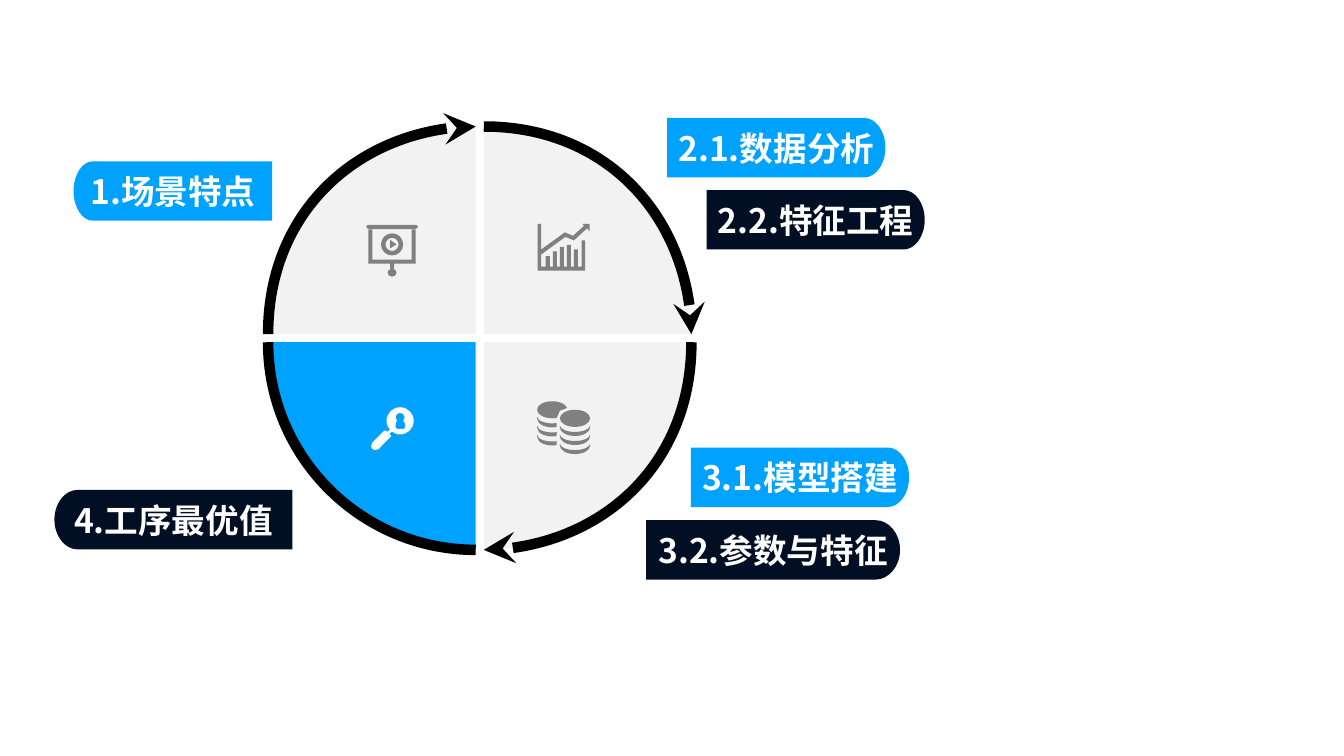
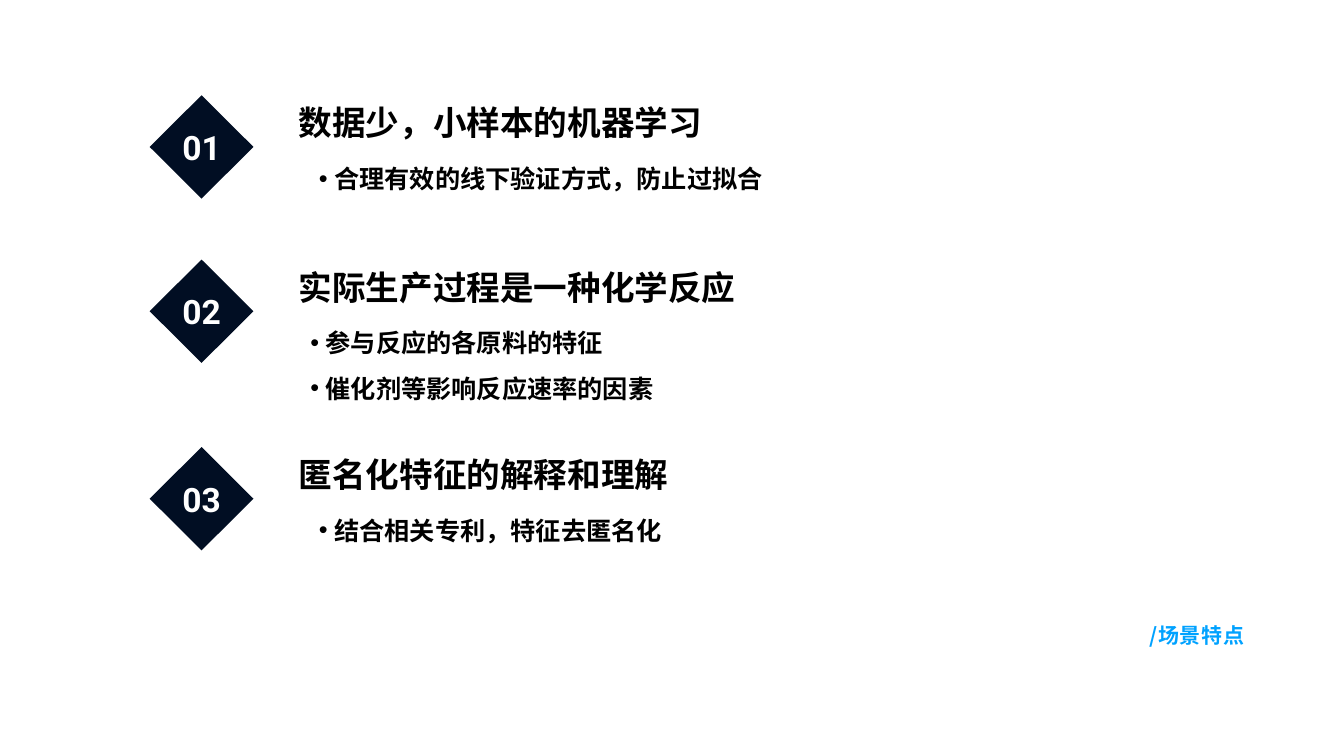
from math import ceil, cos, radians, sin, tan

from pptx import Presentation
from pptx.dml.color import RGBColor
from pptx.enum.shapes import MSO_SHAPE
from pptx.enum.text import MSO_ANCHOR, MSO_AUTO_SIZE, PP_ALIGN
from pptx.oxml.ns import qn
from pptx.util import Inches, Pt
from lxml.etree import Element, SubElement

COLORS = {"blue": "00A2FF", "navy": "010E23", "pale": "F2F2F2",
          "gray": "808080", "white": "FFFFFF", "black": "000000"}
CHINESE_FONT = "Noto Sans CJK SC"
NUMBER_FONT = "Roboto"


def arc(x, y, radius_x, radius_y, start=0, end=360):
    """Elliptical arc, angles clockwise from the right.

    Gives the start point, then for each curve its end and two control points.
    """
    count = ceil(abs(end - start) / 90)
    step = radians((end - start) / count)
    pull = 4 / 3 * tan(step / 4)

    def point(angle, tangent=0):
        return (x + radius_x * (cos(angle) - tangent * sin(angle)),
                y + radius_y * (sin(angle) + tangent * cos(angle)))

    points = [point(radians(start))]
    for i in range(count):
        first = radians(start) + i * step
        last = first + step
        points.append(point(last) + point(first, pull) + point(last, -pull))
    return points


def box(left, top, right, bottom):
    return [(left, top), (right, top), (right, bottom), (left, bottom)]


def write(frame, text, size=48, fill="black", font=CHINESE_FONT, align=PP_ALIGN.LEFT,
          anchor=MSO_ANCHOR.TOP, wrap=True, margins=(0.1, 0.05), line_spacing=1.0,
          bullet=False, tracking=None):
    """Fill a text frame, one paragraph for each line of text."""
    frame.auto_size = MSO_AUTO_SIZE.NONE
    frame.word_wrap = wrap
    frame.vertical_anchor = anchor
    frame.margin_left = frame.margin_right = Inches(margins[0])
    frame.margin_top = frame.margin_bottom = Inches(margins[1])
    for index, line in enumerate(text.split("\n")):
        paragraph = frame.add_paragraph() if index else frame.paragraphs[0]
        paragraph.alignment = align
        paragraph.line_spacing = line_spacing
        paragraph.space_before = paragraph.space_after = Pt(0)
        if bullet:
            properties = paragraph._p.get_or_add_pPr()
            properties.set("marL", str(Inches(0.19)))
            properties.set("indent", str(-Inches(0.19)))
            SubElement(properties, qn("a:buFont")).set("typeface", "Arial")
            SubElement(properties, qn("a:buChar")).set("char", "•")
        run = paragraph.add_run()
        run.text = line
        run.font.size = Pt(size)
        run.font.bold = True
        run.font.name = font
        run.font.color.rgb = color(fill)
        run_properties = run._r.get_or_add_rPr()
        SubElement(run_properties, qn("a:ea")).set("typeface", font)
        if tracking:
            run_properties.set("spc", str(tracking))


def color(name):
    return RGBColor.from_string(COLORS[name])


class Deck:
    def __init__(self):
        self.presentation = Presentation()
        self.presentation.slide_width = Inches(26.67)
        self.presentation.slide_height = Inches(15)
        self.slide = None

    def add_slide(self, layout_name):
        layout = self.presentation.slide_layouts.get_by_name(layout_name)
        self.slide = self.presentation.slides.add_slide(layout)

    def placeholder(self, index, left, top, width, height, text, **style):
        shape = self.slide.placeholders[index]
        shape.left, shape.top = Inches(left), Inches(top)
        shape.width, shape.height = Inches(width), Inches(height)
        write(shape.text_frame, text, **style)

    def remove_empty_placeholders(self):
        for shape in list(self.slide.placeholders):
            if not shape.text_frame.text:
                shape._element.getparent().remove(shape._element)

    def text(self, left, top, width, height, text, **style):
        shape = self.slide.shapes.add_textbox(
            Inches(left), Inches(top), Inches(width), Inches(height))
        write(shape.text_frame, text, **style)

    def outline(self, *contours, closed=True):
        """Freeform from lists of points; inner contours become holes."""
        contours = [[tuple(Inches(value) for value in point) for point in points]
                    for points in contours]
        builder = self.slide.shapes.build_freeform(*contours[0][0][:2], scale=1.0)
        for index, points in enumerate(contours):
            if index:
                builder.move_to(*points[0][:2])
            builder.add_line_segments([point[:2] for point in points[1:]], close=closed)
        shape = builder.convert_to_shape()
        shape.shadow.inherit = False
        # Points with control points turn from lines into curves
        segments = list(shape._element.iter(qn("a:moveTo"), qn("a:lnTo")))
        for segment, point in zip(segments, sum(contours, [])):
            if len(point) == 6:
                segment.tag = qn("a:cubicBezTo")
                for index, (x, y) in enumerate((point[2:4], point[4:6])):
                    control = Element(qn("a:pt"))
                    control.set("x", str(x - shape.left))
                    control.set("y", str(y - shape.top))
                    segment.insert(index, control)
        return shape

    def area(self, fill, *contours):
        shape = self.outline(*contours)
        self.paint(shape, fill)
        return shape

    def paint(self, shape, fill):
        shape.fill.solid()
        shape.fill.fore_color.rgb = color(fill)
        shape.line.fill.background()

    def rim(self, points, arrow):
        shape = self.outline(points, closed=False)
        shape.fill.background()
        shape.line.color.rgb = color("black")
        shape.line.width = Pt(15)
        if arrow:
            SubElement(shape.line._get_or_add_ln(), qn("a:tailEnd")).set("type", "stealth")

    def label(self, left, top, width, text, fill, round_left=False):
        """Tag with one rounded end."""
        height = 1.18
        middle, radius = top + height / 2, width * 0.0975
        right = left + width
        if round_left:
            points = arc(left + radius, middle, radius, height / 2, 90, 270)
            points += [(right, top), (right, top + height)]
        else:
            points = arc(right - radius, middle, radius, height / 2, -90, 90)
            points += [(left, top + height), (left, top)]
        shape = self.area(fill, points)
        write(shape.text_frame, text, fill="white", align=PP_ALIGN.CENTER,
              anchor=MSO_ANCHOR.MIDDLE, wrap=False)

    def diamond(self, left, top, text):
        shape = self.slide.shapes.add_shape(
            MSO_SHAPE.DIAMOND, Inches(left), Inches(top), Inches(2.06), Inches(2.05))
        shape.shadow.inherit = False
        self.paint(shape, "navy")
        write(shape.text_frame, text, fill="white", font=NUMBER_FONT,
              align=PP_ALIGN.CENTER, anchor=MSO_ANCHOR.MIDDLE, margins=(0, 0))

    # Icons
    def coins_icon(self):
        front_x, back_x, radius_x, radius_y = 11.41, 10.96, 0.3, 0.17
        contours = [arc(front_x, 8.3, radius_x, radius_y),
                    arc(back_x, 8.13, radius_x, radius_y, 73, 348) + [(11.11, 8.15)]]
        for x, first_y, start in ((front_x, 8.44, 0), (back_x, 8.27, 73)):
            for i in range(3):
                y = first_y + 0.18 * i
                contours.append(arc(x, y, radius_x, 0.13, start, 180)
                                + arc(x, y + 0.04, radius_x, radius_y, 180, start))
        self.area("gray", *contours)

    def chart_icon(self):
        points = [(11.61, 5.37), (10.67, 5.37), (10.67, 4.44), (10.74, 4.44),
                  (10.74, 4.95), (11.21, 4.61), (11.37, 4.68), (11.59, 4.48),
                  (11.55, 4.44), (11.7, 4.44), (11.7, 4.59), (11.65, 4.53),
                  (11.39, 4.77), (11.22, 4.7), (10.74, 5.05), (10.74, 5.29)]
        for i, top in enumerate((5.08, 4.99, 4.9, 4.86, 4.95)):
            left = 10.83 + 0.14 * i
            points += [(left, 5.29), (left, top), (left + 0.08, top), (left + 0.08, 5.29)]
        self.area("gray", points + [(11.54, 5.29), (11.54, 4.77), (11.61, 4.77)])

    def screen_icon(self):
        x, y = 7.78, 4.85
        rail = arc(8.25, 4.5, 0.04, 0.04, -90, 90) + arc(7.31, 4.5, 0.04, 0.04, 90, 270)
        self.area("gray", rail,
                  box(7.31, 4.55, 8.25, 5.23), box(7.39, 4.55, 8.17, 5.15),
                  arc(x, y, 0.22, 0.22), arc(x, y, 0.13, 0.13),
                  [(7.74, 4.76), (7.87, y), (7.74, 4.93)],
                  box(7.74, 5.23, 7.82, 5.33), arc(x, 5.41, 0.09, 0.08))

    def magnifier_icon(self):
        x = 7.94
        keyhole = arc(x, 8.28, 0.09, 0.09, 135, 405) + [
            (8.04, 8.41), (8.04, 8.48), (8.01, 8.51),
            (7.88, 8.51), (7.85, 8.48), (7.85, 8.41)]
        handle = [(7.74, 8.52), (7.68, 8.57), (7.65, 8.54), (7.62, 8.55), (7.39, 8.78),
                  (7.36, 8.85), (7.39, 8.91), (7.45, 8.93), (7.51, 8.91),
                  (7.75, 8.67), (7.76, 8.65), (7.73, 8.61), (7.78, 8.56)]
        self.area("white", arc(x, 8.35, 0.27, 0.27), keyhole, handle)


deck = Deck()

# Slide 1: process wheel, clockwise from the upper left
deck.add_slide("Blank")
CENTER_X, CENTER_Y, HALF_GAP, RADIUS = 9.52, 6.71, 0.08, 4.12
for side_x, side_y, start, fill, arrow in (
        (-1, -1, 180, "pale", True), (1, -1, 270, "pale", True),
        (1, 1, 0, "pale", True), (-1, 1, 90, "blue", False)):
    corner = (CENTER_X + side_x * HALF_GAP, CENTER_Y + side_y * HALF_GAP)
    # Two curves per quarter keep the rim and its arrowhead exact
    edge = arc(*corner, RADIUS, RADIUS, start, start + 90)
    deck.area(fill, [corner] + edge)
    deck.rim(edge, arrow)

deck.coins_icon()
deck.chart_icon()
deck.screen_icon()
deck.magnifier_icon()

for left, top, width, text, fill, round_left in (
        (14.02, 3.77, 4.33, "2.2.特征工程", "navy", False),
        (13.24, 2.34, 4.33, "2.1.数据分析", "blue", False),
        (12.82, 10.32, 5.04, "3.2.参数与特征", "navy", False),
        (13.71, 8.88, 4.33, "3.1.模型搭建", "blue", False),
        (1.46, 3.2, 3.94, "1.场景特点", "blue", True),
        (1.08, 9.72, 4.72, "4.工序最优值", "navy", True)):
    deck.label(left, top, width, text, fill, round_left)

# Slide 2: numbered features of the scenario
deck.add_slide("Comparison")
deck.placeholder(0, 22.71, 12.3, 3.84, 1.26, "/场景特点",
                 size=30, fill="blue", tracking=100)
FEATURES = (
    (1.89, "数据少，小样本的机器学习", 6.23, " 合理有效的线下验证方式，防止过拟合"),
    (5.15, "实际生产过程是一种化学反应", 6.06,
     " 参与反应的各原料的特征\n 催化剂等影响反应速率的因素"),
    (8.87, "匿名化特征的解释和理解", 6.23, " 结合相关专利，特征去匿名化"))
for number, (top, heading, list_left, points) in enumerate(FEATURES, start=1):
    deck.diamond(2.97, top, f"{number:02}")
    deck.text(5.83, top + 0.27, 11.17, 0.72, heading, anchor=MSO_ANCHOR.BOTTOM)
    list_height = 1.33 + 0.71 * points.count("\n")
    deck.placeholder(number, list_left, top + 1, 11, list_height, points,
                     size=36, line_spacing=1.5, bullet=True)
deck.remove_empty_placeholders()

deck.presentation.save("out.pptx")
